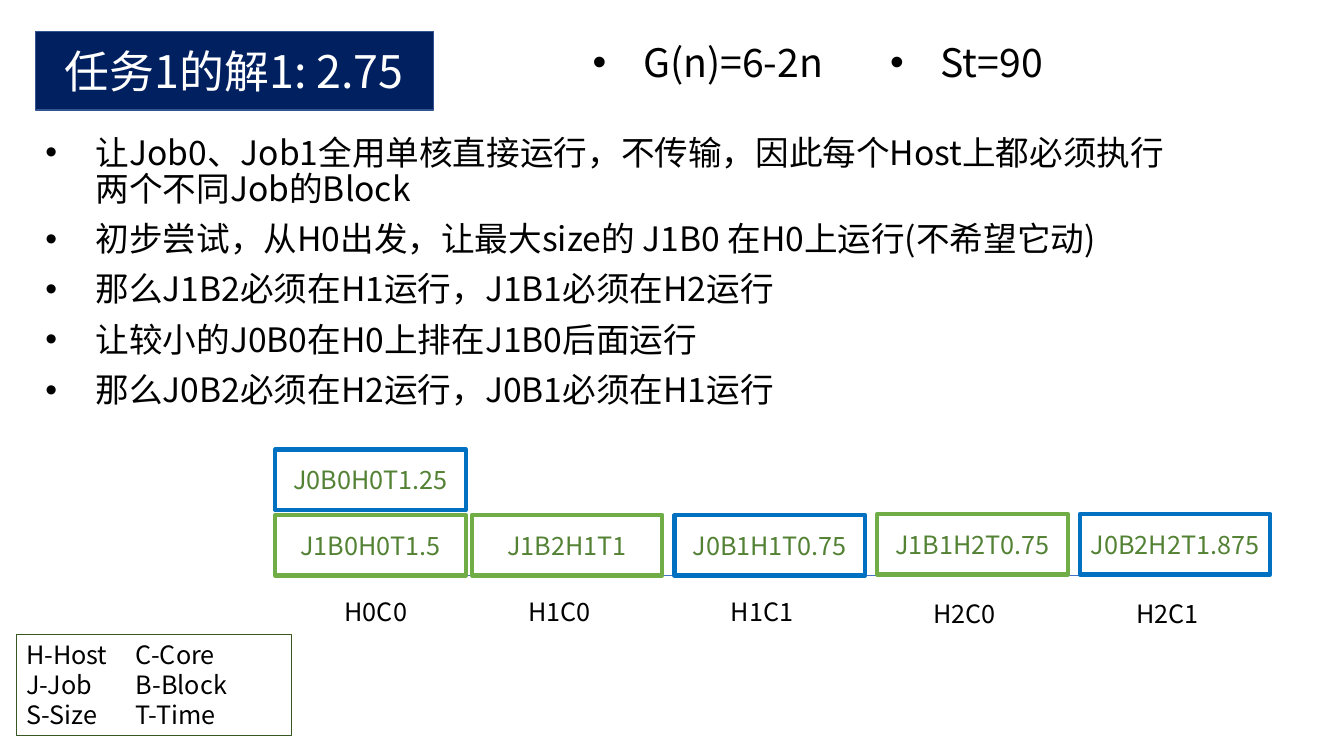
import pptx
import pptx.dml.color
import pptx.enum.shapes
import pptx.enum.text
import pptx.oxml.ns
import pptx.util
from dataclasses import dataclass
from lxml import etree

ANCHOR = pptx.enum.text.MSO_ANCHOR
ALIGN = pptx.enum.text.PP_ALIGN
FIT = pptx.enum.text.MSO_AUTO_SIZE
qn = pptx.oxml.ns.qn


@dataclass(frozen=True)
class Theme:
    font: str = "Noto Sans CJK SC"
    ink: str = "000000"
    paper: str = "FFFFFF"
    navy: str = "002060"
    navy_edge: str = "325491"
    axis: str = "4472C4"
    legend_edge: str = "385723"
    block_text: str = "548235"
    job0: str = "0070C0"
    job1: str = "70AD47"
    title_size: int = 32
    formula_size: int = 28
    list_size: int = 24
    label_size: int = 18


class Board:
    EMU_PER_PX = 9144  # 100 px to the inch

    def __init__(self, slide, theme):
        self.slide, self.theme = slide, theme

    def px(self, *lengths):
        return [pptx.util.Emu(n * self.EMU_PER_PX) for n in lengths]

    def rgb(self, colour):
        return pptx.dml.color.RGBColor.from_string(colour)

    def place(self, shape, box):
        shape.left, shape.top, shape.width, shape.height = self.px(*box)

    def paint(self, shape, fill, edge, weight):
        if fill:
            shape.fill.solid()
            shape.fill.fore_color.rgb = self.rgb(fill)
        else:
            shape.fill.background()
        shape.line.color.rgb = self.rgb(edge)
        shape.line.width = pptx.util.Pt(weight)

    def add_lines(self, shape, lines, size, colour, align=ALIGN.LEFT,
                  anchor=ANCHOR.TOP, fit=FIT.NONE):
        frame = shape.text_frame
        frame.word_wrap, frame.vertical_anchor, frame.auto_size = True, anchor, fit
        for i, line in enumerate(lines):
            paragraph = frame.add_paragraph() if i else frame.paragraphs[0]
            paragraph.alignment = align
            run = paragraph.add_run()
            run.text = line
            run.font.size = pptx.util.Pt(size)
            run.font.color.rgb = self.rgb(colour)
            run.font.name = self.theme.font
            etree.SubElement(run.font._element, qn("a:ea"), typeface=self.theme.font)
        return frame.paragraphs

    def bullet(self, paragraphs, before):
        for paragraph in paragraphs:
            paragraph.line_spacing = 0.9
            paragraph.space_before = pptx.util.Pt(before)
            props = paragraph._p.get_or_add_pPr()
            indent = self.px(50)[0]
            props.set("marL", str(indent))
            props.set("indent", str(-indent))
            etree.SubElement(props, qn("a:buFont"), typeface="Arial")
            etree.SubElement(props, qn("a:buChar"), char="•")

    def title(self, box, words):
        heading = self.slide.shapes.title
        self.place(heading, box)
        self.paint(heading, self.theme.navy, self.theme.navy_edge, 1)
        self.add_lines(heading, [words], self.theme.title_size, self.theme.paper,
                       ALIGN.CENTER, ANCHOR.MIDDLE)

    def steps(self, box, lines):
        body = self.slide.placeholders[1]
        self.place(body, box)
        self.bullet(self.add_lines(body, lines, self.theme.list_size, self.theme.ink), 10)

    def formula(self, box, words):
        note = self.slide.shapes.add_textbox(*self.px(*box))
        self.bullet(self.add_lines(note, [words], self.theme.formula_size,
                                   self.theme.ink, anchor=ANCHOR.BOTTOM), 0)

    def label(self, box, words):
        note = self.slide.shapes.add_textbox(*self.px(*box))
        self.add_lines(note, [words], self.theme.label_size, self.theme.ink,
                       fit=FIT.SHAPE_TO_FIT_TEXT)

    def rectangle(self, box, fill, edge, weight):
        shape = self.slide.shapes.add_shape(
            pptx.enum.shapes.MSO_SHAPE.RECTANGLE, *self.px(*box))
        shape.shadow.inherit = False
        self.paint(shape, fill, edge, weight)
        return shape

    def block(self, box, words, edge):
        shape = self.rectangle(box, self.theme.paper, edge, 3)
        shape.text_frame.margin_left = shape.text_frame.margin_right = 0
        self.add_lines(shape, [words], self.theme.label_size, self.theme.block_text,
                       ALIGN.CENTER, ANCHOR.MIDDLE)

    def legend(self, box, lines, tab):
        key = self.rectangle(box, None, self.theme.legend_edge, 0.75)
        for paragraph in self.add_lines(key, lines, self.theme.label_size,
                                        self.theme.ink, fit=FIT.SHAPE_TO_FIT_TEXT):
            stops = etree.SubElement(paragraph._p.get_or_add_pPr(), qn("a:tabLst"))
            etree.SubElement(stops, qn("a:tab"), pos=str(self.px(tab)[0]), algn="l")

    def baseline(self, left, right, y):
        line = self.slide.shapes.add_connector(
            pptx.enum.shapes.MSO_CONNECTOR.STRAIGHT, *self.px(left, y, right, y))
        line.line.color.rgb = self.rgb(self.theme.axis)
        line.line.width = pptx.util.Pt(0.5)
        etree.SubElement(line._element.spPr, qn("a:effectLst"))


def main():
    deck = pptx.Presentation()
    deck.slide_width = pptx.util.Inches(13.33)
    deck.slide_height = pptx.util.Inches(7.5)
    theme = Theme()
    board = Board(deck.slides.add_slide(deck.slide_layouts[1]), theme)

    # Heading, reasoning steps and formulas
    board.title((35, 31, 395, 78), "任务1的解1: 2.75")
    board.steps((35, 130, 1133, 317), [
        "让Job0、Job1全用单核直接运行，不传输，因此每个Host上都必须执行两个不同Job的Block",
        "初步尝试，从H0出发，让最大size的 J1B0 在H0上运行(不希望它动)",
        "那么J1B2必须在H1运行，J1B1必须在H2运行",
        "让较小的J0B0在H0上排在J1B0后面运行",
        "那么J0B2必须在H2运行，J0B1必须在H1运行",
    ])
    for left, words in ((578, "G(n)=6-2n"), (873, "St=90")):
        board.formula((left, 31, 280, 59), words)

    # Schedule: one column per core, blocks stacked upwards from the baseline
    block_width, block_height, stack_pitch = 189, 60, 65
    first_left, second_left, column_pitch = 273, 468, 201
    job_edges = {"J0": theme.job0, "J1": theme.job1}
    cores = [
        ("H0C0", ["J1B0H0T1.5", "J0B0H0T1.25"]),
        ("H1C0", ["J1B2H1T1"]),
        ("H1C1", ["J0B1H1T0.75"]),
        ("H2C0", ["J1B1H2T0.75"]),
        ("H2C1", ["J0B2H2T1.875"]),
    ]
    board.baseline(first_left, 1254, 571)
    for column, (core, blocks) in enumerate(cores):
        left = second_left + (column - 1) * column_pitch if column else first_left
        on_host2 = core.startswith("H2")
        top = 510 if on_host2 else 511
        for level, words in enumerate(blocks):
            board.block((left, top - level * stack_pitch, block_width, block_height),
                        words, job_edges[words[:2]])
        label_left = left + (46 if column else 59)
        board.label((label_left, 589 if on_host2 else 587, 97, 40), core)

    # Key to the abbreviations
    board.legend((16, 629, 273, 101),
                 ["H-Host\tC-Core", "J-Job\tB-Block", "S-Size\tT-Time"], tab=109)

    deck.save("out.pptx")


if __name__ == "__main__":
    main()
